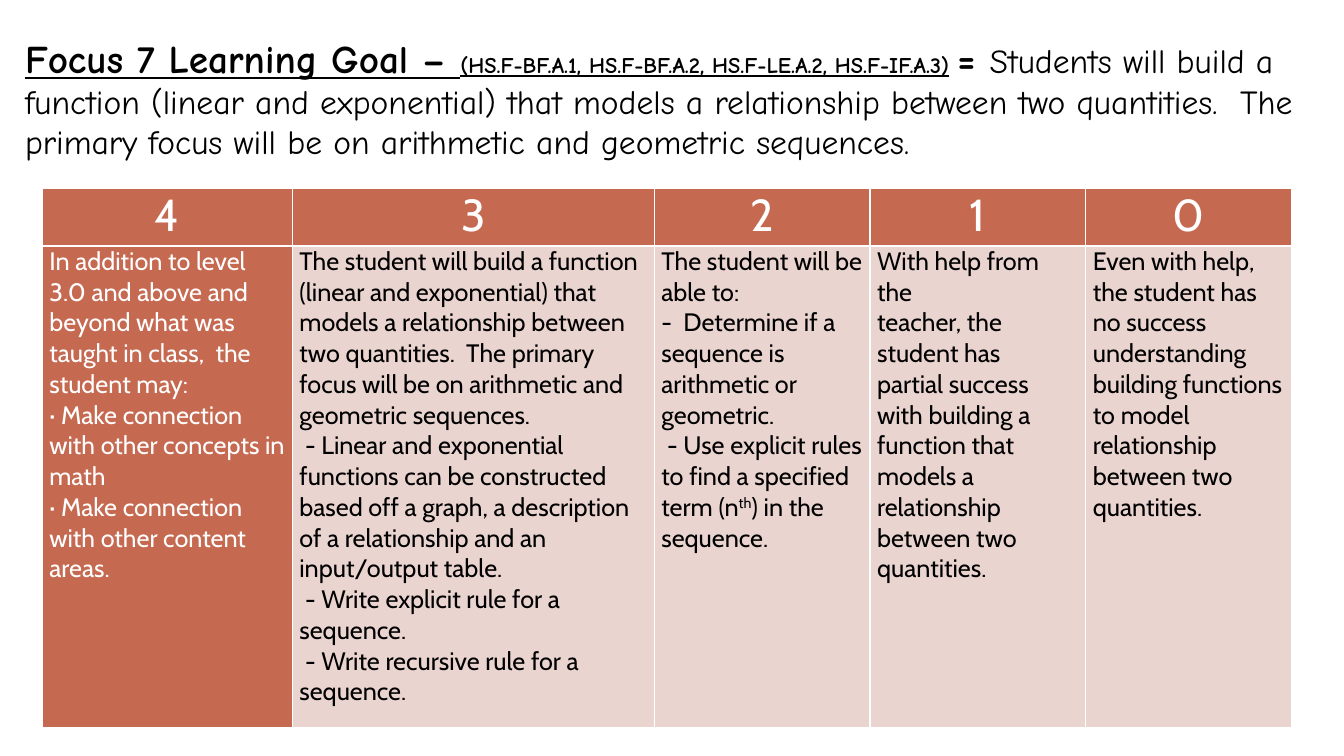
from lxml.etree import SubElement
from pptx import Presentation
from pptx.dml.color import RGBColor
from pptx.enum.text import MSO_ANCHOR, PP_ALIGN
from pptx.oxml.ns import qn
from pptx.util import Inches, Pt

C = {"rust": "C66951", "blush": "EAD4D0", "white": "FFFFFF", "black": "000000"}


def add_run(p, text, font, size, color, bold=False, underline=False):
    r = p.add_run()
    r.text = text
    r.font.name = font
    r.font.size = Pt(size)
    r.font.bold = bold
    r.font.underline = underline
    r.font.color.rgb = RGBColor.from_string(C[color])
    return r


def style_cell(cell, fill):
    cell.margin_left = cell.margin_right = Inches(0.07)
    cell.margin_top = cell.margin_bottom = 0
    tcPr = cell._tc.get_or_add_tcPr()
    for side in ("a:lnL", "a:lnR", "a:lnT", "a:lnB"):
        ln = SubElement(tcPr, qn(side), w=str(Pt(1)))
        SubElement(SubElement(ln, qn("a:solidFill")), qn("a:srgbClr"), val=C["white"])
    cell.fill.solid()
    cell.fill.fore_color.rgb = RGBColor.from_string(C[fill])


prs = Presentation()
prs.slide_width, prs.slide_height = Inches(13.33), Inches(7.5)
s = prs.slides.add_slide(prs.slide_layouts[6])

goal = ("Students will build a function (linear and exponential) that models a "
        "relationship between two quantities.  The primary focus will be on "
        "arithmetic and geometric sequences.")

levels = [
    ("4", 2.48, "rust", "white", [
        "In addition to level 3.0 and above and beyond what was taught in class, \u00a0the student may:",
        "· Make connection with other concepts in math",
        "· Make connection with other content areas."]),
    ("3", 3.59, "blush", "black", [
        goal.replace("Students", "The student"),
        " - Linear and exponential functions can be constructed based off a graph, "
        "a description of a relationship and an input/output table.",
        " - Write explicit rule for a sequence.",
        " - Write recursive rule for a sequence."]),
    ("2", 2.14, "blush", "black", [
        "The student will be able to:",
        "-  Determine if a sequence is arithmetic or geometric.",
        " - Use explicit rules to find a specified term (n^th^) in the sequence."]),
    ("1", 2.14, "blush", "black", [
        "With help from the",
        "teacher, the student has",
        "partial success with building a function that models a relationship between two quantities."]),
    ("0", 2.04, "blush", "black", [
        "Even with help, the student has no success understanding building functions "
        "to model relationship between two quantities."]),
]

tbl = s.shapes.add_table(2, len(levels), Inches(0.42), Inches(1.87),
                         Inches(12.38), Inches(5.35)).table
tbl.horz_banding = False
tbl.rows[0].height, tbl.rows[1].height = Inches(0.57), Inches(4.78)

for col, (level, width, fill, color, lines) in enumerate(levels):
    tbl.columns[col].width = Inches(width)
    head, body = tbl.cell(0, col), tbl.cell(1, col)
    style_cell(head, "rust")
    style_cell(body, fill)
    p = head.text_frame.paragraphs[0]
    p.alignment = PP_ALIGN.CENTER
    add_run(p, level, "Cabin", 32, "white")
    tf = body.text_frame
    for i, line in enumerate(lines):
        p = tf.add_paragraph() if i else tf.paragraphs[0]
        for j, part in enumerate(line.split("^")):
            r = add_run(p, part, "Cabin", 18, color)
            if j == 1:
                r.font._element.set("baseline", "30000")

sp = s.shapes.add_textbox(Inches(0.15), Inches(0.08), Inches(13.06), Inches(1.78))
tf = sp.text_frame
tf.word_wrap = True
tf.vertical_anchor = MSO_ANCHOR.MIDDLE
p = tf.paragraphs[0]
for text, size, bold, underline in [
    ("Focus 7 Learning Goal – ", 28, True, True),
    ("(HS.F-BF.A.1, HS.F-BF.A.2, HS.F-LE.A.2, HS.F-IF.A.3)", 16, True, True),
    (" ", 16, True, False),
    ("= ", 28, True, False),
    (goal, 24, False, False),
]:
    add_run(p, text, "Comic Neue", size, "black", bold, underline)

prs.save("out.pptx")
